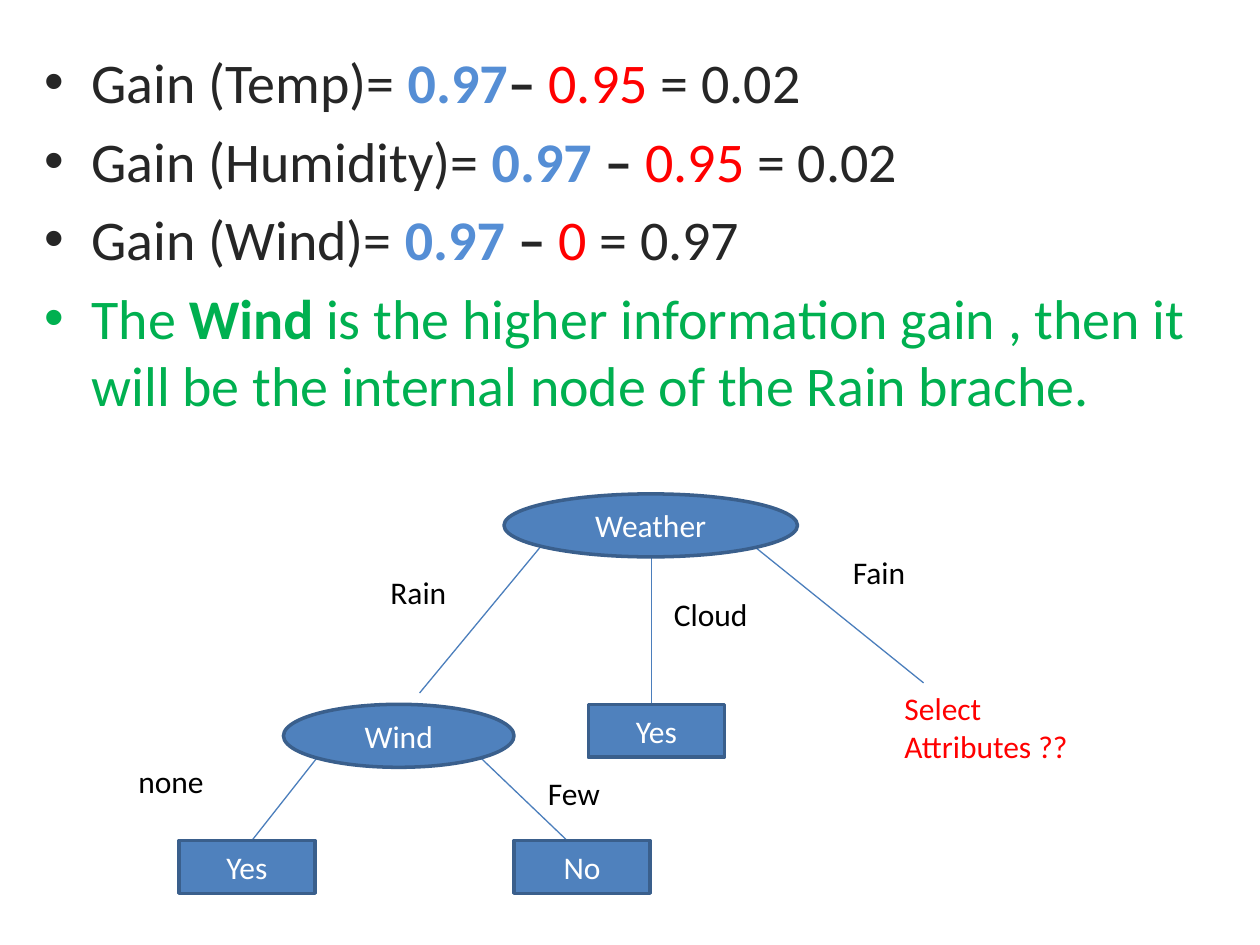
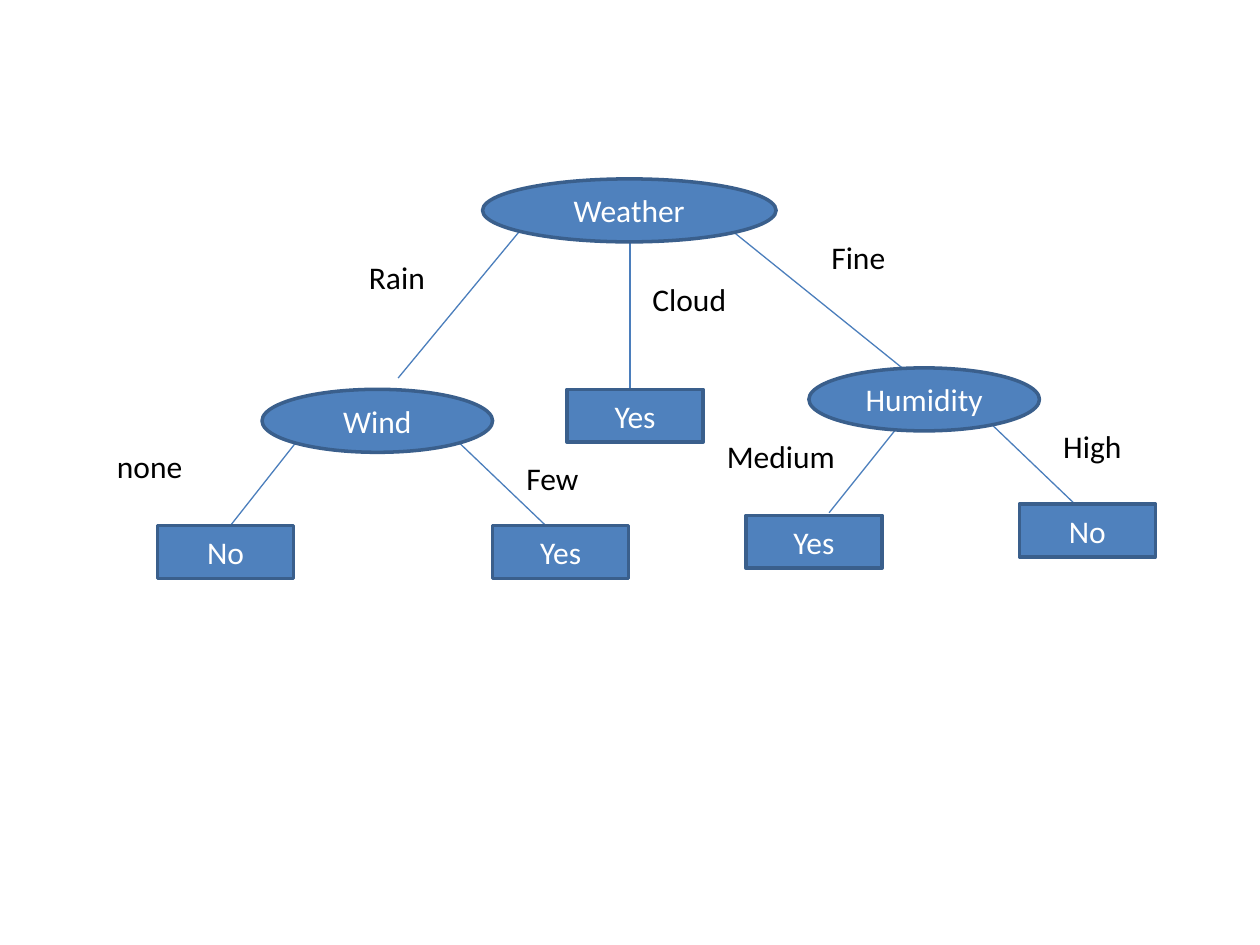
"""Build two slides that grow a weather decision tree from information gain."""
from lxml import etree
from pptx import Presentation
from pptx.dml.color import RGBColor
from pptx.enum.shapes import MSO_CONNECTOR, MSO_SHAPE
from pptx.enum.text import MSO_ANCHOR, MSO_AUTO_SIZE, PP_ALIGN
from pptx.oxml.ns import qn
from pptx.util import Inches, Pt

ELLIPSE, RECTANGLE = MSO_SHAPE.OVAL, MSO_SHAPE.RECTANGLE
STRAIGHT = MSO_CONNECTOR.STRAIGHT
MIDDLE, CENTER = MSO_ANCHOR.MIDDLE, PP_ALIGN.CENTER
FIT_SHAPE, NO_FIT = MSO_AUTO_SIZE.SHAPE_TO_FIT_TEXT, MSO_AUTO_SIZE.NONE

FONT = "Calibri"
WHITE = RGBColor(0xFF, 0xFF, 0xFF)
BLACK = RGBColor(0x00, 0x00, 0x00)
DARK = RGBColor(0x26, 0x26, 0x26)
BLUE = RGBColor(0x55, 0x8E, 0xD5)
RED = RGBColor(0xFF, 0x00, 0x00)
GREEN = RGBColor(0x00, 0xB0, 0x50)
NODE_FILL = RGBColor(0x4F, 0x81, 0xBD)
NODE_LINE = RGBColor(0x3A, 0x5F, 0x8C)
BRANCH_LINE = RGBColor(0x4B, 0x7E, 0xBC)

ROOT = (ELLIPSE, 2.33, 0.5)
TEST = (ELLIPSE, 1.83, 0.5)
LEAF = (RECTANGLE, 1.08, 0.42)
LABEL_WIDTH, LABEL_HEIGHT = 1.17, 0.4


def add_run(paragraph, text, size, color, bold=False):
    run = paragraph.add_run()
    run.text = text
    run.font.name = FONT
    run.font.size = Pt(size)
    run.font.color.rgb = color
    run.font.bold = bold


def draw_tree(slide, origin, branches, nodes, labels):
    left, top = origin
    for start_x, start_y, end_x, end_y in branches:
        connector = slide.shapes.add_connector(
            STRAIGHT, Inches(left + start_x), Inches(top + start_y),
            Inches(left + end_x), Inches(top + end_y))
        connector.line.color.rgb = BRANCH_LINE
        connector.line.width = Pt(0.75)
        etree.SubElement(connector._element.spPr, qn("a:effectLst"))
    for text, (kind, width, height), x, y in nodes:
        shape = slide.shapes.add_shape(
            kind, Inches(left + x), Inches(top + y), Inches(width), Inches(height))
        shape.shadow.inherit = False
        shape.fill.solid()
        shape.fill.fore_color.rgb = NODE_FILL
        shape.line.color.rgb = NODE_LINE
        shape.line.width = Pt(2)
        shape.text_frame.vertical_anchor = MIDDLE
        paragraph = shape.text_frame.paragraphs[0]
        paragraph.alignment = CENTER
        add_run(paragraph, text, 18, WHITE)
    for lines, x, y, width, height, color in labels:
        box = slide.shapes.add_textbox(
            Inches(left + x), Inches(top + y), Inches(width), Inches(height))
        frame = box.text_frame
        frame.word_wrap = True
        frame.auto_size = FIT_SHAPE
        for index, line in enumerate(lines):
            paragraph = frame.add_paragraph() if index else frame.paragraphs[0]
            add_run(paragraph, line, 18, color)


presentation = Presentation()
presentation.slide_width = Inches(10)
presentation.slide_height = Inches(7.5)
content_layout = presentation.slide_layouts[1]
blank_layout = presentation.slide_layouts[6]

gain_slide = presentation.slides.add_slide(content_layout)
title = gain_slide.shapes.title
title._element.getparent().remove(title._element)
body = gain_slide.placeholders[1]
body.left, body.top = Inches(0.25), Inches(0.33)
body.width, body.height = Inches(9.42), Inches(6.83)
body.text_frame.auto_size = NO_FIT

gains = [
    ("Temp", "0.97", "0.95", "0.02"),
    ("Humidity", "0.97 ", "0.95", "0.02"),
    ("Wind", "0.97 ", "0", "0.97"),
]
bullets = [
    [(f"Gain ({attribute})= ", DARK, False), (entropy, BLUE, True), ("–", DARK, True),
     (f" {remainder} ", RED, False), (f"= {gain}", DARK, False)]
    for attribute, entropy, remainder, gain in gains
]
bullets.append([
    ("The ", GREEN, False), ("Wind", GREEN, True),
    (" is the higher information gain , then it will be the internal node "
     "of the Rain brache.", GREEN, False),
])
for index, runs in enumerate(bullets):
    frame = body.text_frame
    paragraph = frame.add_paragraph() if index else frame.paragraphs[0]
    for text, color, bold in runs:
        add_run(paragraph, text, 32, color, bold)

tree_slide = presentation.slides.add_slide(blank_layout)

weather_branches = [
    (4.99, 0.42, 6.33, 1.5), (4.17, 0.5, 4.17, 1.67), (3.29, 0.42, 2.33, 1.58),
    (2.81, 2.09, 3.5, 2.75), (1.52, 2.09, 1, 2.75),
]
trees = [
    (gain_slide, (1, 3.92), "Yes", "No", "Fain"),
    (tree_slide, (0.83, 1.42), "No", "Yes", "Fine"),
]
for slide, origin, none_answer, few_answer, fine_label in trees:
    nodes = [
        ("Weather", ROOT, 3, 0), ("Wind", TEST, 1.25, 1.67), ("Yes", LEAF, 3.67, 1.67),
        (none_answer, LEAF, 0.42, 2.75), (few_answer, LEAF, 3.08, 2.75),
    ]
    labels = [
        ([text], x, y, LABEL_WIDTH, LABEL_HEIGHT, BLACK)
        for text, x, y in [("Rain", 2, 0.58), ("Cloud", 4.25, 0.75), (fine_label, 5.67, 0.42),
                           ("none", 0, 2.08), ("Few", 3.25, 2.17)]
    ]
    draw_tree(slide, origin, weather_branches, nodes, labels)

draw_tree(gain_slide, (7.08, 5.42), [], [],
          [(["Select", "Attributes ??"], 0, 0, 1.75, 0.71, RED)])

humidity_branches = [(2.16, 0.41, 2.85, 1.07), (1.43, 0.5, 0.91, 1.15)]
humidity_nodes = [
    ("Humidity", TEST, 0.75, 0), ("Yes", LEAF, 0.25, 1.17), ("No", LEAF, 2.42, 1.08),
]
humidity_labels = [
    ([text], x, y, LABEL_WIDTH, LABEL_HEIGHT, BLACK)
    for text, x, y in [("Medium", 0, 0.5), ("High", 2.67, 0.42)]
]
draw_tree(tree_slide, (5.67, 2.92), humidity_branches, humidity_nodes, humidity_labels)

presentation.save("out.pptx")
